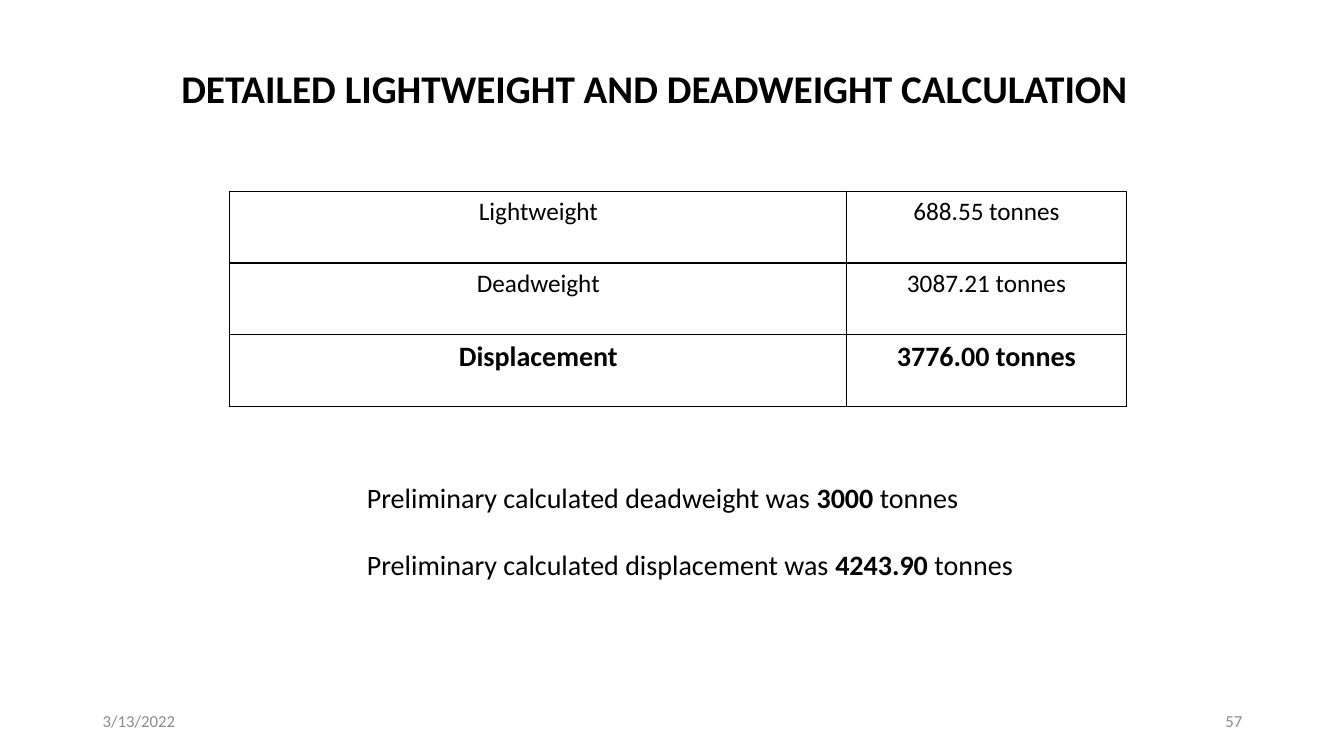
from pptx import Presentation
from pptx import util as u
from pptx.dml import color
from pptx.enum import text
from pptx.oxml import parse_xml
from pptx.oxml import ns

PX = 9144
BLACK = "000000"
GREY = "8C8C8C"
ALIGN = text.PP_ALIGN
ANCHOR = text.MSO_ANCHOR

WEIGHTS = [
    ("Lightweight", "688.55 tonnes"),
    ("Deadweight", "3087.21 tonnes"),
    ("Displacement", "3776.00 tonnes"),
]
PRELIMINARY = [
    ("Preliminary calculated deadweight was ", "3000 ", "tonnes"),
    ("Preliminary calculated displacement was ", "4243.90 ", "tonnes"),
]


def px(*lengths):
    return [u.Emu(n * PX) for n in lengths]


def rgb(value):
    return color.RGBColor.from_string(value)


def style(r, size, bold=False, fill=BLACK):
    r.font.name = "Calibri"
    r.font.size = u.Pt(size)
    r.font.bold = bold
    r.font.color.rgb = rgb(fill)


def add_text_frame(s, box, anchor=ANCHOR.TOP):
    tf = s.shapes.add_textbox(*px(*box)).text_frame
    tf.word_wrap = True
    tf.vertical_anchor = anchor
    return tf


def add_line(s, box, line, size, bold=False, fill=BLACK, align=ALIGN.LEFT, anchor=ANCHOR.TOP):
    p = add_text_frame(s, box, anchor).paragraphs[0]
    p.text = line
    p.alignment = align
    style(p.runs[0], size, bold, fill)


def add_borders(cell):
    tc_pr = cell._tc.get_or_add_tcPr()
    for side in ("lnL", "lnR", "lnT", "lnB"):
        tc_pr.append(parse_xml(
            f'<a:{side} {ns.nsdecls("a")} w="{u.Pt(1)}"><a:solidFill>'
            f'<a:srgbClr val="{BLACK}"/></a:solidFill></a:{side}>'))


def add_weight_table(s, box):
    left, top, width, height = box
    value_width = 277
    table = s.shapes.add_table(len(WEIGHTS), 2, *px(*box)).table
    table.first_row = table.horz_banding = False
    for column, length in zip(table.columns, px(width - value_width, value_width)):
        column.width = length
    for i, row in enumerate(WEIGHTS):
        total = i == len(WEIGHTS) - 1
        for j, value in enumerate(row):
            cell = table.cell(i, j)
            add_borders(cell)
            cell.fill.background()
            p = cell.text_frame.paragraphs[0]
            p.text = value
            p.alignment = ALIGN.CENTER
            style(p.runs[0], 20 if total else 18, total)


def add_preliminary(s, box):
    tf = add_text_frame(s, box)
    for i, parts in enumerate(PRELIMINARY):
        p = tf.add_paragraph() if i else tf.paragraphs[0]
        if i:
            p.space_before = u.Pt(24)
        for j, part in enumerate(parts):
            r = p.add_run()
            r.text = part
            style(r, 20, j == 1)


def add_footer(s, box):
    left, top, width, height = box
    field = 300
    for x, line, align in (
        (left, "3/13/2022", ALIGN.LEFT),
        (left + width - field, "57", ALIGN.RIGHT),
    ):
        add_line(s, (x, top, field, height), line, 12, False, GREY, align, ANCHOR.MIDDLE)


def main():
    prs = Presentation()
    prs.slide_width, prs.slide_height = px(1333, 750)
    s = prs.slides.add_slide(prs.slide_layouts[6])
    add_footer(s, (92, 695, 1150, 40))
    add_weight_table(s, (228, 190, 889, 213))
    add_preliminary(s, (354, 472, 665, 111))
    add_line(s, (170, 59, 971, 57), "DETAILED LIGHTWEIGHT AND DEADWEIGHT CALCULATION", 28, True)
    prs.save("out.pptx")


if __name__ == "__main__":
    main()
